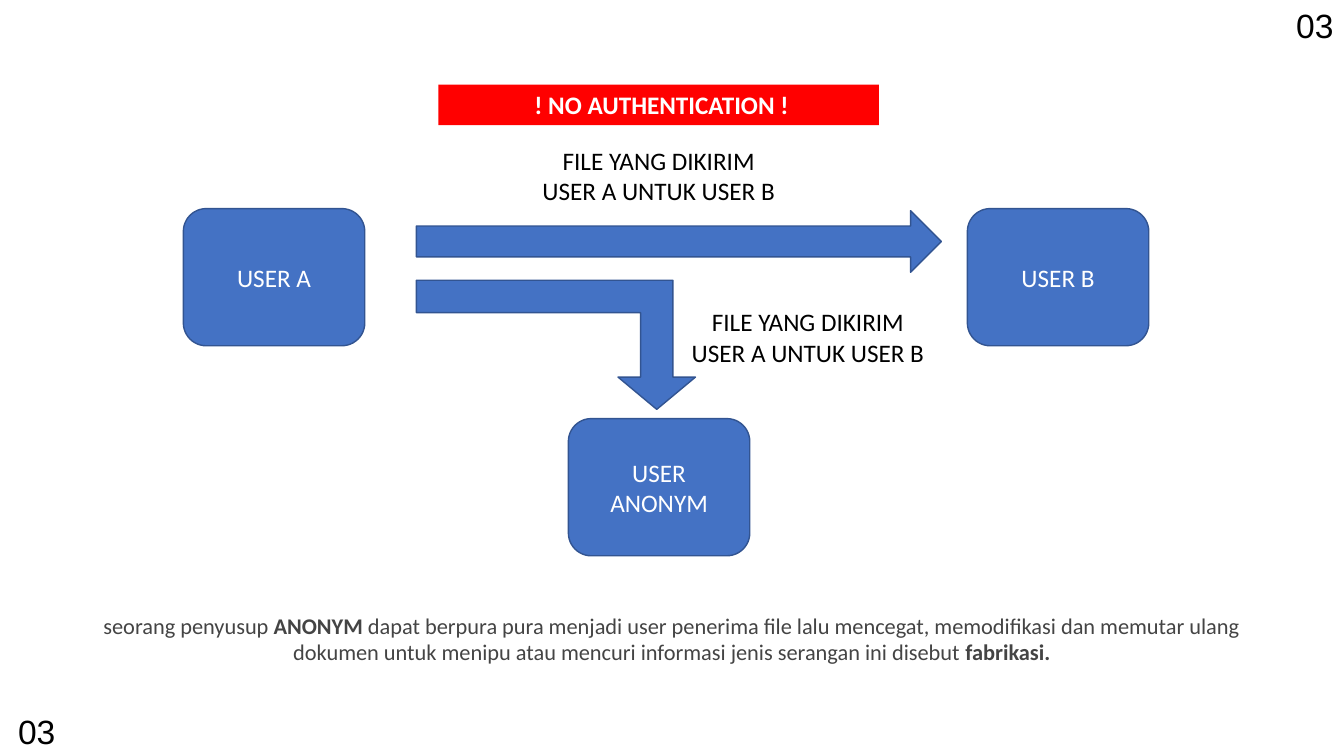
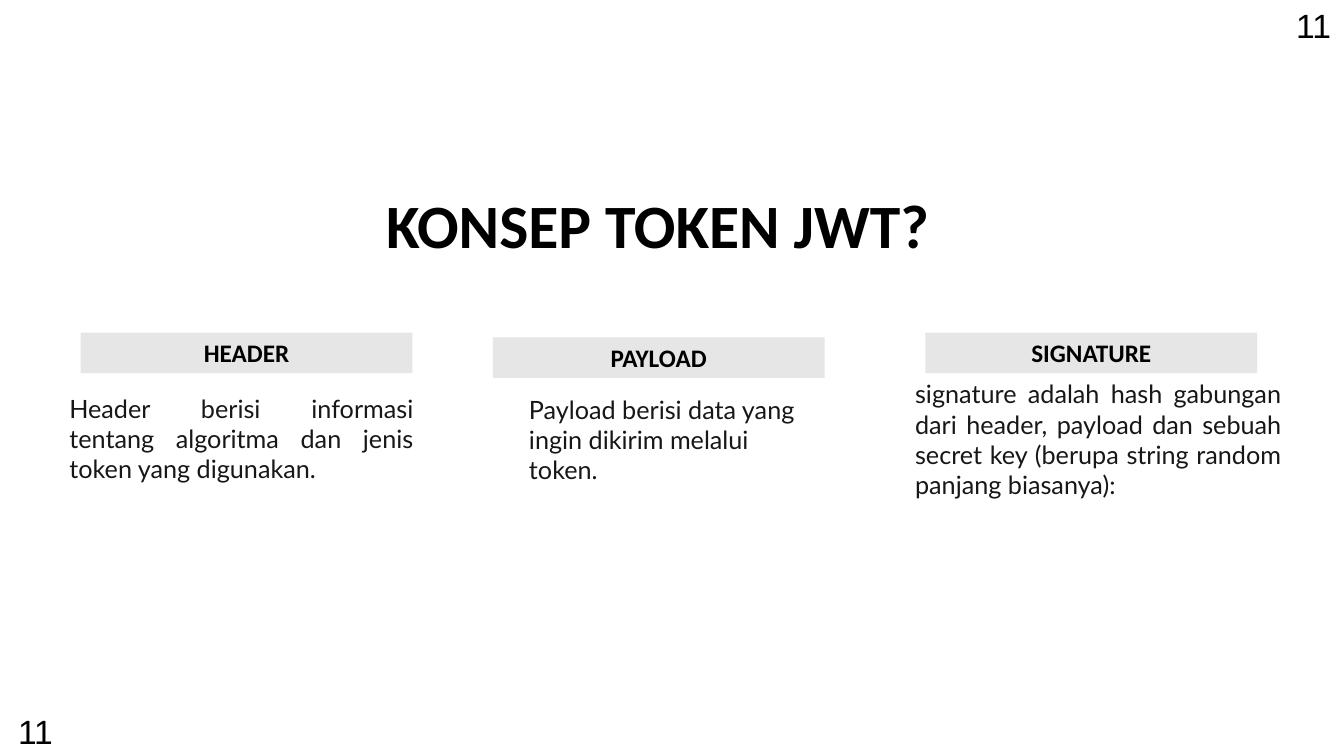
from dataclasses import dataclass

from pptx import Presentation
from pptx.dml.color import RGBColor
from pptx.enum.shapes import MSO_SHAPE as Shape
from pptx.enum.text import MSO_ANCHOR as Anchor, MSO_AUTO_SIZE as AutoSize, PP_ALIGN as Align
from pptx.oxml.ns import qn
from pptx.util import Pt


@dataclass(frozen=True)
class Theme:
    black: str = "000000"
    white: str = "FFFFFF"
    blue: str = "4472C4"
    outline: str = "325491"
    red: str = "FF0000"
    gray: str = "E7E6E6"
    caption: str = "444444"
    body: str = "171717"
    main_font: str = "Calibri"
    body_font: str = "Lato"
    number_font: str = "Arial"
    title_size: float = 44
    number_size: float = 24
    text_size: float = 18
    caption_size: float = 16


THEME = Theme()
TITLE_ONLY, BLANK = 5, 6
NODE_SIZE = (129.6, 98)
LABEL_SIZE = (183.6, 51)
BAND_HEIGHT = 29
NUMBER_SIZE = (111.6, 36)


def lengths(*values):
    return [Pt(value) for value in values]


def write(box, runs, size=THEME.text_size, color=THEME.black, font=THEME.main_font,
          bold=False, align=Align.LEFT, anchor=Anchor.TOP):
    frame = box.text_frame
    frame.word_wrap = True
    frame.auto_size = AutoSize.NONE
    frame.vertical_anchor = anchor
    para = frame.paragraphs[0]
    para.alignment = align
    para.font.name = font
    para.font.size = Pt(size)
    para.font.color.rgb = RGBColor.from_string(color)
    para.font.bold = bold
    for text, strong in runs:
        span = para.add_run()
        span.text = text
        if strong:
            span.font.bold = True


def add_text(page, place, text, **style):
    box = page.shapes.add_textbox(*lengths(*place))
    runs = [(text, False)] if isinstance(text, str) else text
    write(box, runs, **style)


def add_figure(page, kind, place, fill, line=None):
    figure = page.shapes.add_shape(kind, *lengths(*place))
    figure.shadow.inherit = False
    figure.fill.solid()
    figure.fill.fore_color.rgb = RGBColor.from_string(fill)
    if line:
        figure.line.color.rgb = RGBColor.from_string(line)
        figure.line.width = Pt(1)
    else:
        figure.line.fill.background()
    return figure


def add_node(page, left, top, name):
    node = add_figure(page, Shape.ROUNDED_RECTANGLE, (left, top, *NODE_SIZE),
                      THEME.blue, THEME.outline)
    write(node, [(name, False)], color=THEME.white, align=Align.CENTER, anchor=Anchor.MIDDLE)


def add_band(page, left, top, width, text, fill, color):
    band = add_figure(page, Shape.RECTANGLE, (left, top, width, BAND_HEIGHT), fill)
    write(band, [(text, False)], color=color, bold=True, align=Align.CENTER)


def add_bent_arrow(page, place):
    arrow = add_figure(page, Shape.BENT_UP_ARROW, place, THEME.blue, THEME.outline)
    arrow.adjustments[1] = 0.3
    arrow.element.spPr.find(qn("a:xfrm")).set("flipV", "1")


def add_title(page, place, text):
    title = page.shapes.title
    title.left, title.top, title.width, title.height = lengths(*place)
    write(title, [(text, False)], size=THEME.title_size, bold=True)


def add_page_numbers(page, number):
    for left, top in ((918.7, 0), (5.8, 504)):
        add_text(page, (left, top, *NUMBER_SIZE), number,
                 size=THEME.number_size, font=THEME.number_font)


def add_page(deck, layout, number):
    page = deck.slides.add_slide(deck.slide_layouts[layout])
    add_page_numbers(page, number)
    return page


def build_attack_page(deck):
    page = add_page(deck, BLANK, "03")
    for left, top, name in ((131, 149, "USER A"), (691, 149, "USER B"),
                            (406, 299, "USER ANONYM")):
        add_node(page, left, top, name)
    add_figure(page, Shape.RIGHT_ARROW, (297.4, 150.5, 375, 44), THEME.blue, THEME.outline)
    add_bent_arrow(page, (297.4, 200.2, 199.4, 92.2))
    for left, top in ((378.7, 100), (485.3, 215.5)):
        add_text(page, (left, top, *LABEL_SIZE), "FILE YANG DIKIRIM USER A UNTUK USER B",
                 align=Align.CENTER)
    add_band(page, 313.2, 60.5, 314.6, " ! NO AUTHENTICATION !", THEME.red, THEME.white)
    add_text(page, (61.2, 433.4, 837.4, 46), [
        ("seorang penyusup ", False),
        ("ANONYM ", True),
        ("dapat berpura pura menjadi user penerima file lalu mencegat, memodifikasi dan "
         "memutar ulang dokumen untuk menipu atau mencuri informasi jenis serangan ini "
         "disebut ", False),
        ("fabrikasi.", True),
    ], size=THEME.caption_size, color=THEME.caption, align=Align.CENTER)


def build_token_page(deck):
    page = add_page(deck, TITLE_ONLY, "11")
    add_title(page, (268.6, 129.6, 676.8, 60.5), "KONSEP TOKEN JWT?")
    parts = (
        ("HEADER", (57.6, 237.6), (42.5, 277.2, 260, 72.7), Align.JUSTIFY,
         "Header berisi informasi tentang algoritma dan jenis token yang digunakan."),
        ("PAYLOAD", (352, 241), (370.8, 278, 218.2, 72.7), Align.LEFT,
         "Payload berisi data yang ingin dikirim melalui token."),
        ("SIGNATURE", (661, 237.6), (646.6, 267, 275.8, 94.3), Align.JUSTIFY,
         "signature adalah hash gabungan dari header, payload dan sebuah secret key "
         "(berupa string random panjang biasanya):"),
    )
    for name, corner, place, align, text in parts:
        add_band(page, *corner, 237, name, THEME.gray, THEME.black)
        add_text(page, place, text, color=THEME.body, font=THEME.body_font, align=align)


def main():
    deck = Presentation()
    deck.slide_width, deck.slide_height = lengths(960, 540)
    build_attack_page(deck)
    build_token_page(deck)
    deck.save("out.pptx")


if __name__ == "__main__":
    main()
